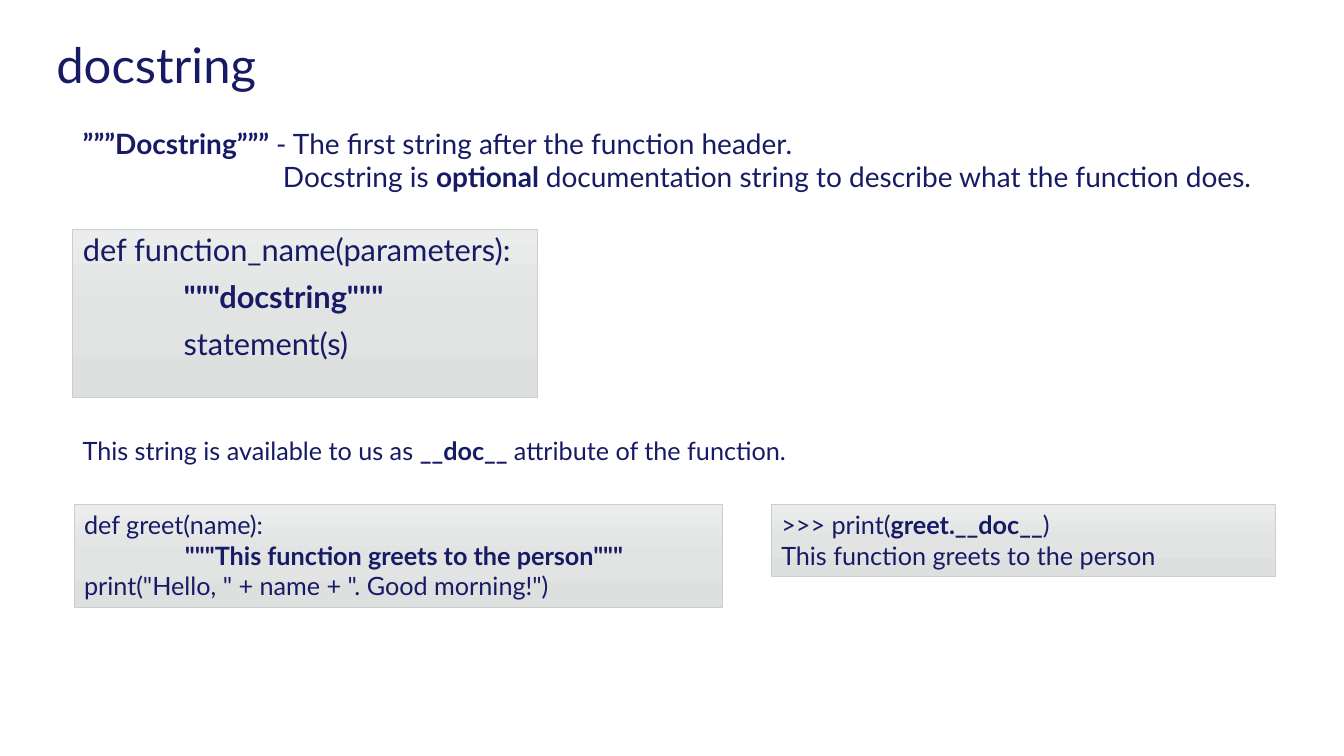
from copy import deepcopy
from dataclasses import dataclass

from pptx import Presentation
from pptx import util as u
from pptx.dml.color import RGBColor
from pptx.enum import shapes, text
from pptx.oxml import ns
from pptx.oxml.xmlchemy import OxmlElement

FONT = "Lato"
NAVY = "171B65"
PANEL_EDGE = "CBCECE"
PANEL_STOPS = [(0, "EBECEC"), (0.5, "E2E3E3"), (1, "DEE0E0")]
CODE_INDENT = 72


@dataclass
class Line:
    """One paragraph, with its odd-numbered pieces in bold."""
    pieces: list[str]
    indent: float = 0


@dataclass
class Block:
    box: tuple[float, float, float, float]
    size: float
    lines: list[Line]
    panel: bool = False


TITLE = Block((33, 27.5, 906.5, 41.5), 35, [Line(["docstring"])])
SYNTAX = Block((52, 164, 332, 120), 22, [
    Line(["def function_name(parameters):"]),
    Line(["", '"""docstring"""'], CODE_INDENT),
    Line(["statement(s)"], CODE_INDENT),
], panel=True)
BLOCKS = [
    Block((52, 86.5, 898, 55.5), 20, [
        Line(["", "”””Docstring””” ", "- The first string after the function header."]),
        Line(["Docstring is ", "optional ",
              "documentation string to describe what the function does."], 143),
    ]),
    Block((53, 360.5, 463, 73), 18, [
        Line(["def greet(name):"]),
        Line(["", '"""This function greets to the person"""'], CODE_INDENT),
        Line(['print("Hello, " + name + ". Good morning!")']),
    ], panel=True),
    Block((52, 307.5, 859, 29), 18, [
        Line(["This string is available to us as ", "__doc__ ", "attribute of the function."]),
    ]),
    Block((551, 360.5, 360, 51), 18, [
        Line([">>> print(", "greet.__doc__", ")"]),
        Line(["This function greets to the person"]),
    ], panel=True),
]


def color(value: str) -> RGBColor:
    return RGBColor.from_string(value)


def paint_panel(shape) -> None:
    """Give the shape the grey vertical gradient and thin edge of a code panel."""
    shape.shadow.inherit = False
    shape.line.color.rgb = color(PANEL_EDGE)
    shape.line.width = u.Pt(0.5)
    shape.fill.gradient()
    shape.fill.gradient_angle = 270
    stop_list = shape._element.spPr.find(ns.qn("a:gradFill")).find(ns.qn("a:gsLst"))
    stop_list.insert(1, deepcopy(stop_list[0]))
    for stop, (position, value) in zip(shape.fill.gradient_stops, PANEL_STOPS):
        stop.position = position
        stop.color.rgb = color(value)


def write_lines(frame, block: Block) -> None:
    frame.word_wrap = True
    frame.auto_size = text.MSO_AUTO_SIZE.NONE
    for index, line in enumerate(block.lines):
        paragraph = frame.add_paragraph() if index else frame.paragraphs[0]
        paragraph.alignment = text.PP_ALIGN.LEFT
        paragraph.font.name = FONT
        paragraph.font.size = u.Pt(block.size)
        paragraph.font.color.rgb = color(NAVY)
        for number, piece in enumerate(line.pieces):
            if piece:
                run = paragraph.add_run()
                run.text = piece
                run.font.bold = number % 2 == 1
        properties = paragraph._p.get_or_add_pPr()
        properties.set("marL", str(u.Pt(line.indent)))
        properties.set("indent", "0")


def fill_placeholder(placeholder, block: Block) -> None:
    (placeholder.left, placeholder.top,
     placeholder.width, placeholder.height) = map(u.Pt, block.box)
    write_lines(placeholder.text_frame, block)
    for paragraph in placeholder.text_frame.paragraphs:
        paragraph.line_spacing = 0.9
    if block.panel:
        paint_panel(placeholder)


def add_block(slide, block: Block) -> None:
    box = map(u.Pt, block.box)
    if block.panel:
        shape = slide.shapes.add_shape(shapes.MSO_SHAPE.RECTANGLE, *box)
        paint_panel(shape)
    else:
        shape = slide.shapes.add_textbox(*box)
    shape.text_frame.vertical_anchor = text.MSO_ANCHOR.TOP
    write_lines(shape.text_frame, block)


def main() -> None:
    presentation = Presentation()
    presentation.slide_width = u.Pt(960)
    presentation.slide_height = u.Pt(540)
    slide = presentation.slides.add_slide(presentation.slide_layouts[1])

    title, body = slide.placeholders
    fill_placeholder(title, TITLE)
    title.text_frame.vertical_anchor = text.MSO_ANCHOR.MIDDLE
    fill_placeholder(body, SYNTAX)
    for index, paragraph in enumerate(body.text_frame.paragraphs):
        paragraph.space_before = u.Pt(10 if index else 0)
        properties = paragraph._p.get_or_add_pPr()
        properties.insert_element_before(
            OxmlElement("a:buNone"), "a:tabLst", "a:defRPr", "a:extLst")

    for block in BLOCKS:
        add_block(slide, block)
    presentation.save("out.pptx")


if __name__ == "__main__":
    main()
